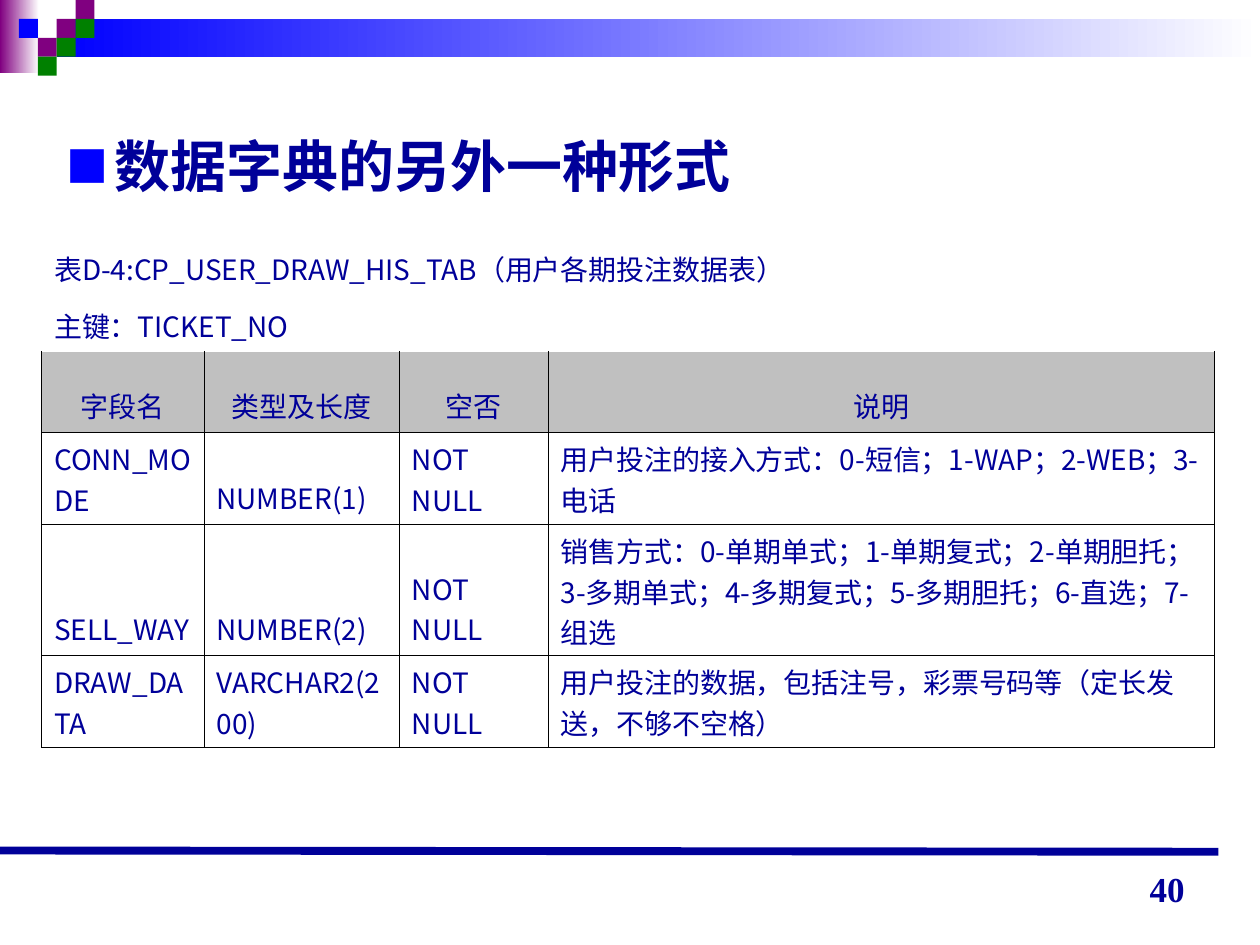
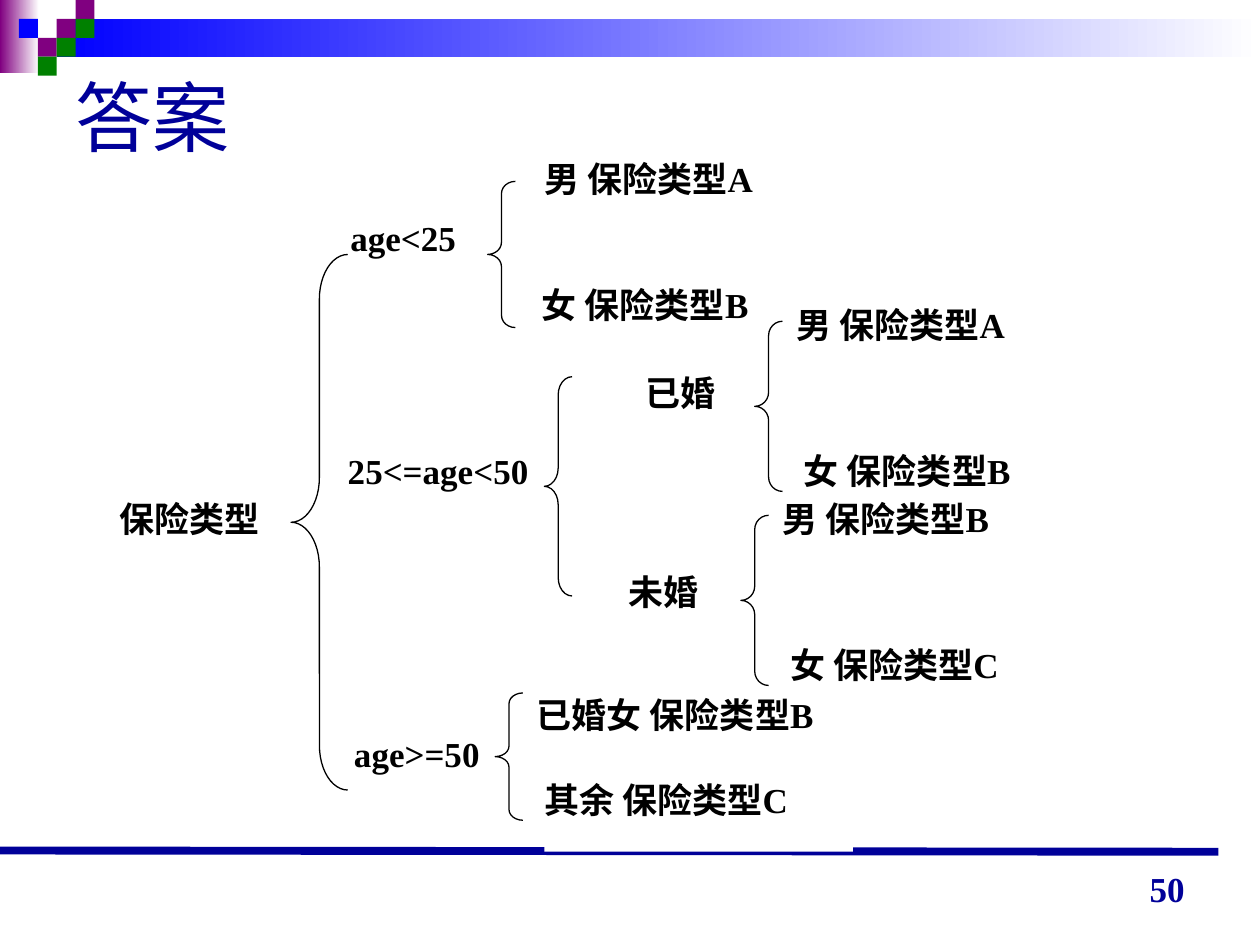
from dataclasses import dataclass

from lxml import etree
from pptx import Presentation
from pptx.dml.color import RGBColor
from pptx.enum import shapes, text
from pptx.oxml import ns
from pptx.util import Inches, Pt


@dataclass(frozen=True)
class Theme:
    navy: str = "000099"
    blue: str = "0000FF"
    purple: str = "800080"
    green: str = "008000"
    white: str = "FFFFFF"
    black: str = "000000"
    header: str = "C0C0C0"
    latin: str = "Times New Roman"
    cjk: str = "Noto Sans CJK SC"
    title_size: int = 44
    heading_size: int = 32
    label_size: int = 20
    table_size: int = 16


THEME = Theme()

# Shared decoration: gradient bands (box, colour) and squares (column, row, colour)
BANDS = [((0, 0, 0.31, 0.58), THEME.purple), ((0.45, 0.15, 9.55, 0.3), THEME.blue)]
SQUARE = 0.15
SQUARES = [
    (3, 1, THEME.purple), (4, 0, THEME.purple), (4, 1, THEME.green),
    (2, 2, THEME.purple), (1, 1, THEME.blue), (3, 2, THEME.green),
    (2, 3, THEME.green),
]

DICTIONARY_HEADING = "数据字典的另外一种形式"
DICTIONARY_COLUMNS = [1.29, 1.55, 1.18, 5.29]
DICTIONARY_ROWS = [0.42, 0.45, 0.64, 0.73, 1.04, 0.73]
CAPTION_ROWS = 2
DICTIONARY = [
    ["表D-4:CP_USER_DRAW_HIS_TAB（用户各期投注数据表）"],
    ["主键：TICKET_NO"],
    ["字段名", "类型及长度", "空否", "说明"],
    ["CONN_MODE", "NUMBER(1)", "NOT NULL",
     "用户投注的接入方式：0-短信；1-WAP；2-WEB；3-电话"],
    ["SELL_WAY", "NUMBER(2)", "NOT NULL",
     "销售方式：0-单期单式；1-单期复式；2-单期胆托；3-多期单式；"
     "4-多期复式；5-多期胆托；6-直选；7-组选"],
    ["DRAW_DATA", "VARCHAR2(200)", "NOT NULL",
     "用户投注的数据，包括注号，彩票号码等（定长发送，不够不空格）"],
]

ANSWER_TITLE = "答案"
LABEL_HEIGHT = 0.58
LEAF_WIDTH = 2.45
# Decision tree labels: left, top, width, words
LABELS = [
    (0.95, 3.95, 1.36, "保险类型"),
    (2.78, 1.72, 1.78, "age<25"),
    (2.76, 3.57, 1.78, "25<=age<50"),
    (2.81, 5.81, 1.56, "age>=50"),
    (5.12, 2.95, 1.11, "已婚"),
    (4.99, 4.53, 1.11, "未婚"),
    (4.32, 1.25, LEAF_WIDTH, "男 保险类型A"),
    (4.3, 2.25, LEAF_WIDTH, "女 保险类型B"),
    (6.32, 2.41, LEAF_WIDTH, "男 保险类型A"),
    (6.38, 3.57, LEAF_WIDTH, "女 保险类型B"),
    (6.21, 3.95, LEAF_WIDTH, "男 保险类型B"),
    (6.27, 5.11, LEAF_WIDTH, "女 保险类型C"),
    (4.26, 5.5, LEAF_WIDTH, "已婚女 保险类型B"),
    (4.32, 6.18, LEAF_WIDTH, "其余 保险类型C"),
]
BRACES = [
    (2.31, 2.02, 0.45, 4.25),
    (3.87, 1.44, 0.22, 1.16),
    (4.32, 2.99, 0.22, 1.74),
    (5.99, 2.55, 0.22, 1.35),
    (5.88, 4.09, 0.22, 1.35),
    (3.93, 5.5, 0.22, 1.01),
]


def rgb(colour):
    return RGBColor.from_string(colour)


def inches(box):
    return [Inches(length) for length in box]


def add_xml(parent, tag, **attributes):
    return etree.SubElement(parent, ns.qn(tag), attributes)


def write(frame, words, size, colour, bold=False, align=text.PP_ALIGN.LEFT,
          latin=THEME.latin):
    frame.text = words
    para = frame.paragraphs[0]
    para.alignment = align
    para.space_before = Pt(0)
    span = para.runs[0]
    span.font.size, span.font.bold = Pt(size), bold
    span.font.color.rgb = rgb(colour)
    span.font.name = latin
    add_xml(span.font._element, "a:ea", typeface=THEME.cjk)


def place(shape, box):
    shape.left, shape.top, shape.width, shape.height = inches(box)


def add_plain(page, kind, box):
    shape = page.shapes.add_shape(kind, *inches(box))
    shape.shadow.inherit = False
    return shape


def add_block(page, box, colour):
    block = add_plain(page, shapes.MSO_SHAPE.RECTANGLE, box)
    block.line.fill.background()
    block.fill.solid()
    block.fill.fore_color.rgb = rgb(colour)
    return block


def decorate(page, number):
    """Add the top mosaic, the footer rule and the page number."""
    for box, colour in BANDS:
        band = add_block(page, box, colour)
        band.fill.gradient()
        band.fill.gradient_angle = 180
        for stop, shade in zip(band.fill.gradient_stops, (THEME.white, colour)):
            stop.color.rgb = rgb(shade)
    for column, row, colour in SQUARES:
        add_block(page, (column * SQUARE, row * SQUARE, SQUARE, SQUARE), colour)

    rule = page.shapes.add_connector(
        shapes.MSO_CONNECTOR.STRAIGHT, *inches((0, 6.75, 9.67, 6.76)))
    rule.line.color.rgb = rgb(THEME.navy)
    rule.line.width = Pt(4.5)
    add_xml(rule._element.spPr, "a:effectLst")

    frame = page.shapes.add_textbox(*inches((7.17, 6.77, 2.33, 0.5))).text_frame
    frame.word_wrap = True
    frame.vertical_anchor = text.MSO_ANCHOR.BOTTOM
    write(frame, str(number), THEME.label_size, THEME.navy, True,
          text.PP_ALIGN.RIGHT)


def add_bullet(para):
    properties = para._p.get_or_add_pPr()
    indent = Inches(0.38)
    properties.set("marL", str(indent))
    properties.set("indent", str(-indent))
    add_xml(add_xml(properties, "a:buClr"), "a:srgbClr", val=THEME.blue)
    add_xml(properties, "a:buSzPct", val="75000")
    add_xml(properties, "a:buFont", typeface=THEME.cjk)
    add_xml(properties, "a:buChar", char="■")


def add_borders(cell):
    properties = cell._tc.get_or_add_tcPr()
    for side in ("a:lnL", "a:lnR", "a:lnT", "a:lnB"):
        edge = add_xml(properties, side, w=str(Pt(0.45)))
        add_xml(add_xml(edge, "a:solidFill"), "a:srgbClr", val=THEME.black)


def add_dictionary(page):
    box = (0.33, 1.92, sum(DICTIONARY_COLUMNS), sum(DICTIONARY_ROWS))
    table = page.shapes.add_table(
        len(DICTIONARY_ROWS), len(DICTIONARY_COLUMNS), *inches(box)).table
    table.first_row = table.horz_banding = False
    for column, width in zip(table.columns, DICTIONARY_COLUMNS):
        column.width = Inches(width)
    for row, height in zip(table.rows, DICTIONARY_ROWS):
        row.height = Inches(height)
    table.cell(0, 0).merge(table.cell(0, 3))
    table.cell(1, 0).merge(table.cell(1, 1))

    for index, row in enumerate(table.rows):
        is_header = index == CAPTION_ROWS
        for cell in row.cells:
            if index >= CAPTION_ROWS:
                add_borders(cell)
            if is_header:
                cell.fill.solid()
                cell.fill.fore_color.rgb = rgb(THEME.header)
            else:
                cell.fill.background()
        align = text.PP_ALIGN.CENTER if is_header else text.PP_ALIGN.LEFT
        for cell, words in zip(row.cells, DICTIONARY[index]):
            cell.vertical_anchor = text.MSO_ANCHOR.BOTTOM
            write(cell.text_frame, words, THEME.table_size, THEME.navy,
                  align=align, latin=THEME.cjk)


def add_label(page, left, top, width, words):
    label = add_block(page, (left, top, width, LABEL_HEIGHT), THEME.white)
    frame = label.text_frame
    frame.margin_left = frame.margin_right = 0
    frame.margin_top = frame.margin_bottom = 0
    frame.vertical_anchor = text.MSO_ANCHOR.TOP
    write(frame, words, THEME.label_size, THEME.black, True,
          text.PP_ALIGN.JUSTIFY)


def add_brace(page, box):
    brace = add_plain(page, shapes.MSO_SHAPE.LEFT_BRACE, box)
    brace.fill.background()
    brace.line.color.rgb = rgb(THEME.black)
    brace.line.width = Pt(0.75)
    width, height = box[2:]
    brace.adjustments[0] = height / 12 / width  # each curve spans a twelfth


def build_dictionary_page(deck):
    page = deck.slides.add_slide(deck.slide_layouts[1])
    title = page.shapes.title._element
    title.getparent().remove(title)
    decorate(page, 40)
    body = page.placeholders[1]
    place(body, (0.43, 0.99, 8.27, 0.79))
    frame = body.text_frame
    frame.auto_size = text.MSO_AUTO_SIZE.NONE
    write(frame, DICTIONARY_HEADING, THEME.heading_size, THEME.navy, True)
    add_bullet(frame.paragraphs[0])
    add_dictionary(page)


def build_answer_page(deck):
    page = deck.slides.add_slide(deck.slide_layouts[5])
    decorate(page, 50)
    title = page.shapes.title
    place(title, (0.5, 0.5, 9, 0.83))
    title.text_frame.auto_size = text.MSO_AUTO_SIZE.NONE
    title.text_frame.vertical_anchor = text.MSO_ANCHOR.MIDDLE
    write(title.text_frame, ANSWER_TITLE, THEME.title_size, THEME.navy)
    for label in LABELS:
        add_label(page, *label)
    for box in BRACES:
        add_brace(page, box)


def main():
    deck = Presentation()
    deck.slide_width, deck.slide_height = Inches(10), Inches(7.5)
    build_dictionary_page(deck)
    build_answer_page(deck)
    deck.save("out.pptx")


if __name__ == "__main__":
    main()
